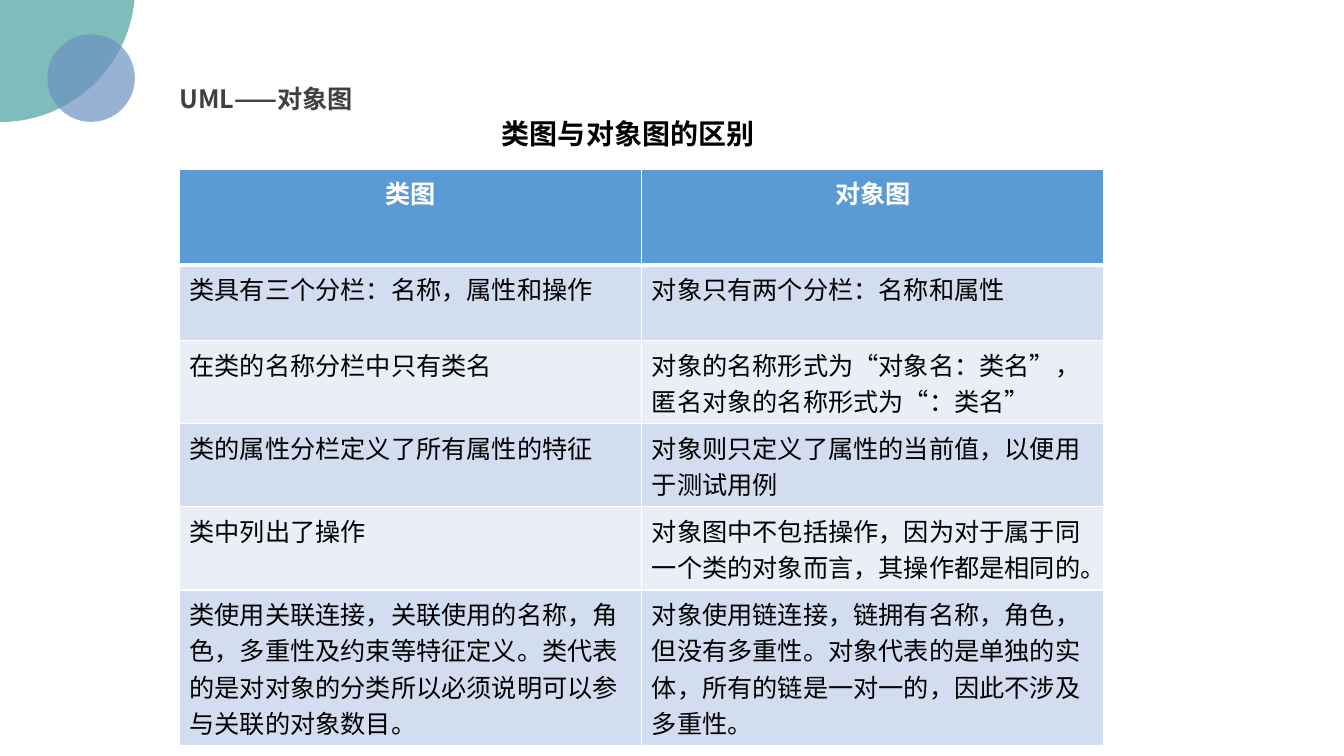
from dataclasses import dataclass

from lxml import etree
from pptx import Presentation
from pptx import util as u
from pptx.dml.color import RGBColor
from pptx.enum import shapes, text
from pptx.oxml import ns

FONT = "Noto Sans CJK SC"
WHITE = RGBColor(0xFF, 0xFF, 0xFF)
BLACK = RGBColor(0x00, 0x00, 0x00)
DARK_GRAY = RGBColor(0x40, 0x40, 0x40)
TEAL = RGBColor(0x48, 0xA2, 0xA0)
SLATE_BLUE = RGBColor(0x6C, 0x92, 0xC0)
HEADER_BLUE = RGBColor(0x5B, 0x9B, 0xD5)
BANDS = (RGBColor(0xD2, 0xDE, 0xEF), RGBColor(0xEA, 0xEF, 0xF7))

TABLE_LEFT, TABLE_TOP = 128.2, 121
COLUMN_WIDTH = 330.2
HEADER_HEIGHT, ROW_HEIGHT = 68.4, 54
THIN_BORDER, HEADER_BORDER = 1, 3

COMPARISON = (
    ("类图", "对象图"),
    ("类具有三个分栏：名称，属性和操作", "对象只有两个分栏：名称和属性"),
    ("在类的名称分栏中只有类名",
     "对象的名称形式为“对象名：类名”，匿名对象的名称形式为“：类名”"),
    ("类的属性分栏定义了所有属性的特征",
     "对象则只定义了属性的当前值，以便用于测试用例"),
    ("类中列出了操作",
     "对象图中不包括操作，因为对于属于同一个类的对象而言，其操作都是相同的。"),
    ("类使用关联连接，关联使用的名称，角色，多重性及约束等特征定义。"
     "类代表的是对对象的分类所以必须说明可以参与关联的对象数目。",
     "对象使用链连接，链拥有名称，角色，但没有多重性。"
     "对象代表的是单独的实体，所有的链是一对一的，因此不涉及多重性。"),
)


@dataclass(frozen=True)
class Circle:
    left: float
    top: float
    diameter: float
    color: RGBColor
    opacity: int = 70


CORNER_CIRCLES = (
    Circle(-96.5, -105.8, 193, TEAL),
    Circle(33.8, 24.5, 62.6, SLATE_BLUE),
)


def write_text(frame, words: str, *, size: float = 18, color: RGBColor = BLACK,
               bold: bool = False, align=text.PP_ALIGN.LEFT) -> None:
    frame.word_wrap = True
    paragraph = frame.paragraphs[0]
    paragraph.alignment = align
    run = paragraph.add_run()
    run.text = words
    run.font.name = FONT
    run.font.size = u.Pt(size)
    run.font.bold = bold
    run.font.color.rgb = color
    east_asian = etree.SubElement(run.font._element, ns.qn("a:ea"))
    east_asian.set("typeface", FONT)


def place_heading(shape, left: float, top: float, width: float, height: float) -> None:
    shape.left, shape.top = u.Pt(left), u.Pt(top)
    shape.width, shape.height = u.Pt(width), u.Pt(height)
    shape.text_frame.auto_size = text.MSO_AUTO_SIZE.NONE
    shape.text_frame.vertical_anchor = text.MSO_ANCHOR.MIDDLE


def add_circle(slide, circle: Circle) -> None:
    diameter = u.Pt(circle.diameter)
    shape = slide.shapes.add_shape(shapes.MSO_SHAPE.OVAL, u.Pt(circle.left),
                                   u.Pt(circle.top), diameter, diameter)
    shape.shadow.inherit = False
    shape.line.fill.background()
    shape.fill.solid()
    shape.fill.fore_color.rgb = circle.color
    color = shape._element.spPr.find(f".//{ns.qn('a:srgbClr')}")
    etree.SubElement(color, ns.qn("a:alpha")).set("val", str(circle.opacity * 1000))


def set_borders(cell, top: float, bottom: float) -> None:
    """Draw white cell borders; the sides are always thin."""
    properties = cell._tc.get_or_add_tcPr()
    widths = {"lnL": THIN_BORDER, "lnR": THIN_BORDER, "lnT": top, "lnB": bottom}
    for index, (side, width) in enumerate(widths.items()):
        line = etree.Element(ns.qn(f"a:{side}"), w=str(u.Pt(width)))
        fill = etree.SubElement(line, ns.qn("a:solidFill"))
        etree.SubElement(fill, ns.qn("a:srgbClr")).set("val", str(WHITE))
        properties.insert(index, line)


def add_comparison_table(slide) -> None:
    row_count, column_count = len(COMPARISON), len(COMPARISON[0])
    table = slide.shapes.add_table(
        row_count, column_count, u.Pt(TABLE_LEFT), u.Pt(TABLE_TOP),
        u.Pt(COLUMN_WIDTH * column_count),
        u.Pt(HEADER_HEIGHT + ROW_HEIGHT * (row_count - 1))).table
    for column in table.columns:
        column.width = u.Pt(COLUMN_WIDTH)
    for row_index, entries in enumerate(COMPARISON):
        is_header = row_index == 0
        table.rows[row_index].height = u.Pt(HEADER_HEIGHT if is_header else ROW_HEIGHT)
        for column_index, words in enumerate(entries):
            cell = table.cell(row_index, column_index)
            cell.fill.solid()
            cell.fill.fore_color.rgb = (
                HEADER_BLUE if is_header else BANDS[(row_index - 1) % len(BANDS)])
            set_borders(cell,
                        top=HEADER_BORDER if row_index == 1 else THIN_BORDER,
                        bottom=HEADER_BORDER if is_header else THIN_BORDER)
            write_text(cell.text_frame, words, bold=is_header,
                       color=WHITE if is_header else BLACK,
                       align=text.PP_ALIGN.CENTER if is_header else text.PP_ALIGN.LEFT)


def main() -> None:
    presentation = Presentation()
    presentation.slide_width, presentation.slide_height = u.Pt(960), u.Pt(540)
    title_only = presentation.slide_layouts.get_by_name("Title Only")
    slide = presentation.slides.add_slide(title_only)

    title = slide.shapes.title
    place_heading(title, 121, 56.2, 168.5, 28.8)
    write_text(title.text_frame, "UML——对象图", color=DARK_GRAY, bold=True)

    add_comparison_table(slide)

    table_heading = slide.shapes.add_textbox(0, 0, 0, 0)
    place_heading(table_heading, 351.4, 79.2, 565.2, 31.7)
    write_text(table_heading.text_frame, "类图与对象图的区别", size=20, bold=True)

    for circle in CORNER_CIRCLES:
        add_circle(slide, circle)
    presentation.save("out.pptx")


if __name__ == "__main__":
    main()
